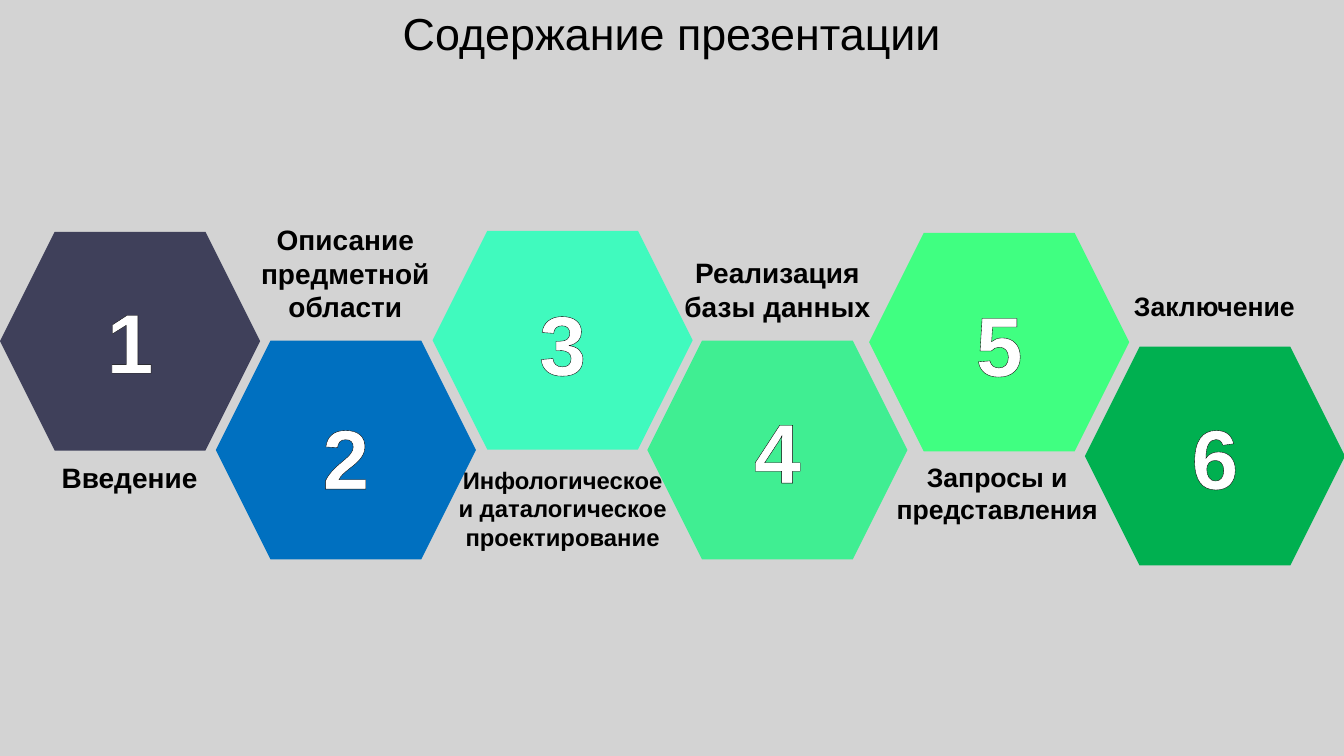
from dataclasses import dataclass
from lxml.etree import SubElement
from pptx import Presentation
from pptx.dml.color import RGBColor
from pptx.enum.shapes import MSO_SHAPE
from pptx.enum.text import MSO_AUTO_SIZE, PP_ALIGN
from pptx.oxml.ns import qn
from pptx.util import Inches, Pt


@dataclass(frozen=True)
class Theme:
    font: str = "Arial"
    back: str = "D3D3D3"
    ink: str = "000000"
    pale: str = "FFFFFF"
    title: int = 32
    digit: int = 60


theme = Theme()
deck = Presentation()
deck.slide_width, deck.slide_height = Inches(13.33), Inches(7.5)
slide = deck.slides.add_slide(deck.slide_layouts[6])
slide.background.fill.solid()
slide.background.fill.fore_color.rgb = RGBColor.from_string(theme.back)


def add_text(words, area, size, color, bold=True):
    box = slide.shapes.add_textbox(*map(Inches, area))
    frame = box.text_frame
    frame.word_wrap = True
    frame.auto_size = MSO_AUTO_SIZE.SHAPE_TO_FIT_TEXT
    frame.margin_left = frame.margin_right = Inches(0.05)
    para = frame.paragraphs[0]
    para.alignment = PP_ALIGN.CENTER
    run = para.add_run()
    run.text = words
    run.font.name = theme.font
    run.font.size = Pt(size)
    run.font.bold = bold
    run.font.color.rgb = RGBColor.from_string(color)
    return run


def add_edge(run, width):
    props = run.font._element
    line = SubElement(props, qn("a:ln"), w=str(Pt(width)))
    fill = SubElement(line, qn("a:solidFill"))
    SubElement(fill, qn("a:srgbClr"), val=theme.ink)
    props.insert(0, line)


# Title
add_text("Содержание презентации", (3.78, 0.01, 5.77, 0.64),
         theme.title, theme.ink, False)

# Steps: hexagon left, top, fill; digit top, edge; label, its area and size
steps = [
    (0, 2.3, "3F405A", 2.82, 2.5,
     "Введение", (0.5, 4.52, 1.57, 0.44), 20),
    (2.14, 3.38, "0070C0", 3.97, 2,
     "Описание предметной области", (2.49, 2.16, 1.87, 1.11), 20),
    (4.29, 2.29, "40FABE", 2.84, 2,
     "Инфологическое и даталогическое проектирование",
     (4.44, 4.57, 2.28, 0.96), 17),
    (6.42, 3.38, "40EE92", 3.91, 2,
     "Реализация базы данных", (6.65, 2.49, 2.12, 0.77), 20),
    (8.62, 2.31, "40FF81", 2.85, 2,
     "Запросы и представления", (8.75, 4.52, 2.28, 0.74), 19),
    (10.76, 3.44, "00B050", 3.97, 2,
     "Заключение", (11.11, 2.83, 1.87, 0.42), 19),
]
wide, high = 2.58, 2.17
span = 1.14

# Hexagons
for left, top, color, *_ in steps:
    hexa = slide.shapes.add_shape(
        MSO_SHAPE.HEXAGON, *map(Inches, (left, top, wide, high)))
    hexa.shadow.inherit = False
    hexa.fill.solid()
    hexa.fill.fore_color.rgb = RGBColor.from_string(color)
    hexa.line.fill.background()

# Labels and digits, each digit centred across its hexagon
for num, (left, _, _, top, edge, label, area, size) in enumerate(steps, 1):
    add_text(label, area, size, theme.ink)
    mid = left + (wide - span) / 2
    digit = add_text(str(num), (mid, top, span, 1.11), theme.digit, theme.pale)
    add_edge(digit, edge)

deck.save("out.pptx")
